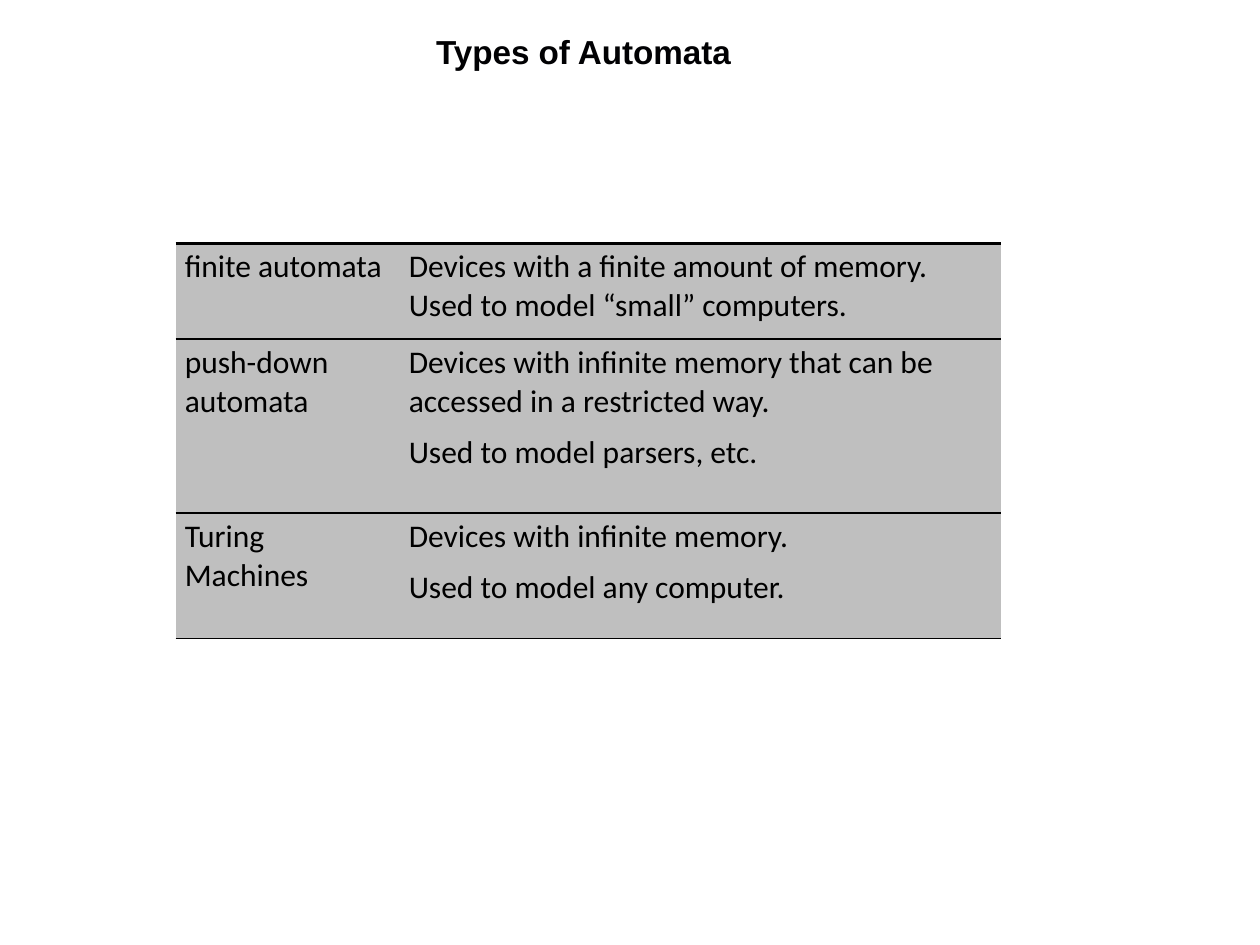
import dataclasses

import pptx
import pptx.dml.color
import pptx.enum.text
import pptx.oxml
import pptx.oxml.ns
import pptx.util

Pt = pptx.util.Pt


@dataclasses.dataclass(frozen=True)
class Theme:
    """Colours, fonts and sizes of the slide."""
    title_color: str = "010103"
    text_color: str = "000000"
    cell_fill: str = "BFBFBF"
    rule_color: str = "000000"
    title_font: str = "Arial"
    body_font: str = "Calibri"
    title_size: float = 19
    body_size: float = 18
    paragraph_gap: float = 7.2
    top_rule: float = 2.25
    row_rule: float = 1


THEME = Theme()
NO_TABLE_STYLE = "{2D5ABB26-0587-4C30-8999-92F81FD0307C}"
TITLE = "Types of Automata"
AUTOMATA = [
    (["finite automata"],
     ["Devices with a finite amount of memory.\vUsed to model “small” computers."]),
    (["push-down automata"],
     ["Devices with infinite memory that can be accessed in a restricted way.",
      "Used to model parsers, etc."]),
    (["Turing Machines"],
     ["Devices with infinite memory.", "Used to model any computer."]),
]


def style_font(paragraph, name, size, color, bold=False):
    """Format every run of a paragraph."""
    for run in paragraph.runs:
        run.font.name = name
        run.font.size = Pt(size)
        run.font.bold = bold
        run.font.color.rgb = pptx.dml.color.RGBColor.from_string(color)


def add_title(slide, left, top, width, height):
    """Place the centred title in its box."""
    shape = slide.shapes.add_textbox(Pt(left), Pt(top), Pt(width), Pt(height))
    frame = shape.text_frame
    frame.word_wrap = True
    frame.margin_left = frame.margin_right = Pt(0)
    frame.margin_top = frame.margin_bottom = Pt(0)
    frame.text = TITLE
    paragraph = frame.paragraphs[0]
    paragraph.alignment = pptx.enum.text.PP_ALIGN.CENTER
    style_font(paragraph, THEME.title_font, THEME.title_size, THEME.title_color, True)


def add_rules(cell, top_width, bottom_width):
    """Draw the horizontal rules above and below a cell."""
    properties = cell._tc.get_or_add_tcPr()
    for index, (tag, width) in enumerate((("lnT", top_width), ("lnB", bottom_width))):
        line = pptx.oxml.parse_xml(
            f'<a:{tag} {pptx.oxml.ns.nsdecls("a")} w="{Pt(width)}"><a:solidFill>'
            f'<a:srgbClr val="{THEME.rule_color}"/></a:solidFill></a:{tag}>')
        properties.insert(index, line)


def fill_cell(cell, lines, top_width):
    """Write one paragraph per line and style the cell."""
    cell.margin_left = cell.margin_right = Pt(5.2)
    cell.margin_top = cell.margin_bottom = Pt(2.7)
    cell.fill.solid()
    cell.fill.fore_color.rgb = pptx.dml.color.RGBColor.from_string(THEME.cell_fill)
    add_rules(cell, top_width, THEME.row_rule)
    cell.text_frame.text = "\n".join(lines)
    for index, paragraph in enumerate(cell.text_frame.paragraphs):
        if index:
            paragraph.space_before = Pt(THEME.paragraph_gap)
        style_font(paragraph, THEME.body_font, THEME.body_size, THEME.text_color)


def add_automata_table(slide, left, top, column_widths, row_heights):
    """Place the table of automata types."""
    table = slide.shapes.add_table(
        len(row_heights), len(column_widths), Pt(left), Pt(top),
        Pt(sum(column_widths)), Pt(sum(row_heights))).table
    table.first_row = table.horz_banding = False
    table._tbl.tblPr.find(pptx.oxml.ns.qn("a:tableStyleId")).text = NO_TABLE_STYLE
    for column, width in zip(table.columns, column_widths):
        column.width = Pt(width)
    for row_index, (row, height) in enumerate(zip(table.rows, row_heights)):
        row.height = Pt(height)
        top_width = THEME.row_rule if row_index else THEME.top_rule
        for cell, lines in zip(row.cells, AUTOMATA[row_index]):
            fill_cell(cell, lines, top_width)


def main():
    """Build and save the slide."""
    presentation = pptx.Presentation()
    presentation.slide_width, presentation.slide_height = Pt(720), Pt(540)
    slide = presentation.slides.add_slide(presentation.slide_layouts[6])
    add_title(slide, 120.5, 18, 426, 23)
    add_automata_table(slide, 100.4, 139, (128, 343.4), (54.7, 99.4, 71.8))
    presentation.save("out.pptx")


if __name__ == "__main__":
    main()
